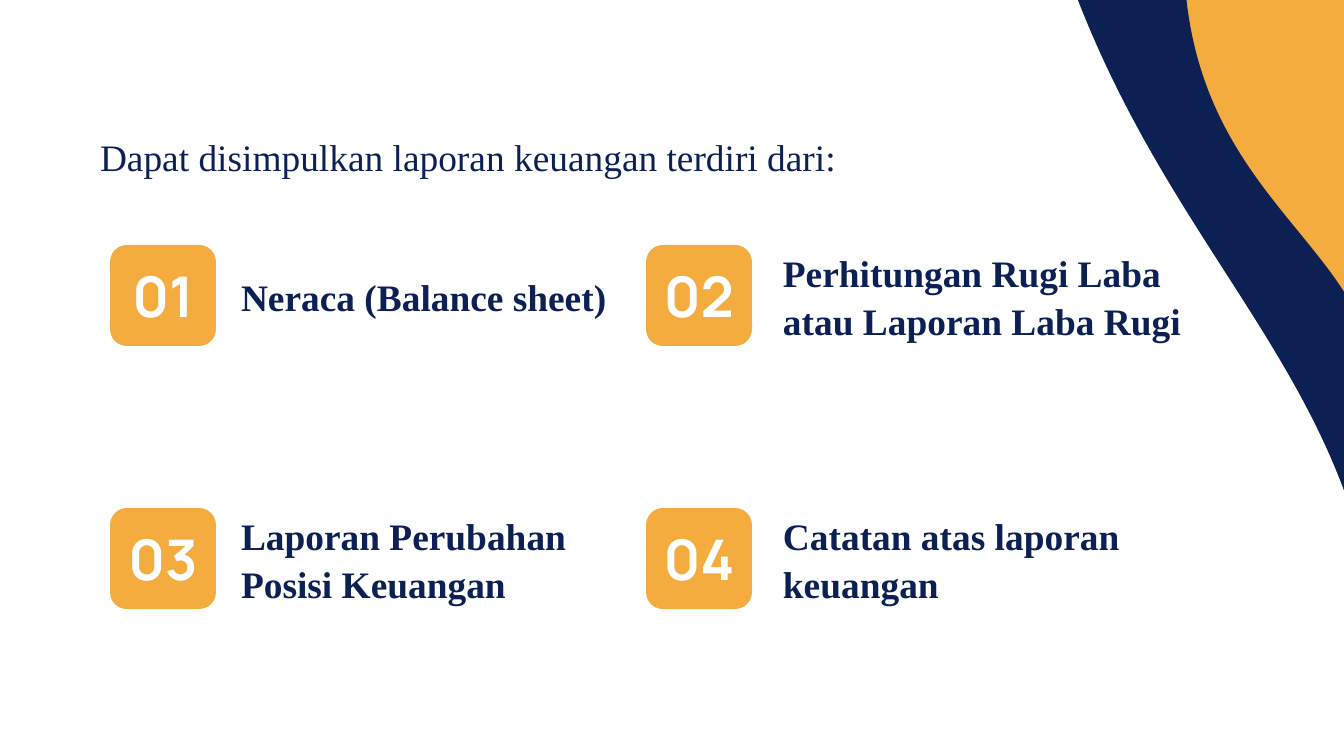
from dataclasses import dataclass

from pptx import Presentation
from pptx.dml.color import RGBColor
from pptx.enum.shapes import MSO_SHAPE
from pptx.enum.text import MSO_ANCHOR, MSO_AUTO_SIZE, PP_ALIGN
from pptx.util import Emu, Pt

# Content
LEAD = "Dapat disimpulkan laporan keuangan terdiri dari:"
REPORTS = [
    "Neraca (Balance sheet)",
    "Perhitungan Rugi Laba atau Laporan Laba Rugi",
    "Laporan Perubahan Posisi Keuangan",
    "Catatan atas laporan keuangan",
]


@dataclass(frozen=True)
class Theme:
    navy: RGBColor = RGBColor(0x0C, 0x20, 0x54)
    orange: RGBColor = RGBColor(0xF3, 0xAC, 0x3D)
    white: RGBColor = RGBColor(0xFF, 0xFF, 0xFF)
    text_font: str = "Times New Roman"
    number_font: str = "Manrope"
    text_size: int = 20
    number_size: int = 30


THEME = Theme()

# Layout in px
SLIDE_SIZE = (1344, 756)
LEAD_BOX = (87, 121, 1133, 71)
WAVES = [  # box, rotation, colour
    ((626, -184, 586, 931), 267, THEME.navy),
    ((-75, -368, 1361, 1535), 264.8, THEME.white),
]
TILE_SIZE = (106, 101)
GRID_LEFT, GRID_TOP = 110, 245
COLUMN_STEP, ROW_STEP = 536, 263
LABEL_HEIGHT = 78
LABEL_COLUMNS = [(228, 397), (770, 438)]  # left, width
INSET = 13


def px(value):
    return Emu(round(value * 914400 / 134.4))


def add_filled_shape(slide, preset, box, colour):
    shape = slide.shapes.add_shape(preset, *map(px, box))
    shape.shadow.inherit = False
    shape.fill.solid()
    shape.fill.fore_color.rgb = colour
    shape.line.fill.background()
    return shape


def write(shape, text, font_name, size, colour, bold=True,
          align=PP_ALIGN.LEFT, inset=INSET):
    frame = shape.text_frame
    frame.word_wrap = True
    frame.auto_size = MSO_AUTO_SIZE.NONE
    frame.vertical_anchor = MSO_ANCHOR.MIDDLE
    frame.margin_left = frame.margin_right = px(inset)
    frame.margin_top = frame.margin_bottom = px(inset)
    frame.text = text
    paragraph = frame.paragraphs[0]
    paragraph.alignment = align
    font = paragraph.font
    font.name, font.size, font.bold = font_name, Pt(size), bold
    font.color.rgb = colour
    return paragraph


def main():
    presentation = Presentation()
    presentation.slide_width, presentation.slide_height = map(px, SLIDE_SIZE)
    slide = presentation.slides.add_slide(presentation.slide_layouts[5])

    # Orange background under the navy and white waves
    slide.background.fill.solid()
    slide.background.fill.fore_color.rgb = THEME.orange
    for box, rotation, colour in WAVES:
        wave = add_filled_shape(slide, MSO_SHAPE.FLOWCHART_DOCUMENT, box, colour)
        wave.rotation = rotation

    # Lead sentence, brought in front of the waves
    title = slide.shapes.title
    slide.shapes._spTree.append(title._element)
    title.left, title.top, title.width, title.height = map(px, LEAD_BOX)
    write(title, LEAD, THEME.text_font, THEME.text_size, THEME.navy, bold=False)

    # Numbered reports in a two by two grid
    tile_width, tile_height = TILE_SIZE
    for index, report in enumerate(REPORTS):
        row, column = divmod(index, 2)
        left = GRID_LEFT + column * COLUMN_STEP
        top = GRID_TOP + row * ROW_STEP
        tile = add_filled_shape(slide, MSO_SHAPE.ROUNDED_RECTANGLE,
                                (left, top, tile_width, tile_height), THEME.orange)
        write(tile, f"{index + 1:02}", THEME.number_font, THEME.number_size,
              THEME.white, align=PP_ALIGN.CENTER, inset=0)

        label_left, label_width = LABEL_COLUMNS[column]
        label_top = top + (tile_height - LABEL_HEIGHT) / 2
        label = slide.shapes.add_textbox(
            *map(px, (label_left, label_top, label_width, LABEL_HEIGHT)))
        paragraph = write(label, report, THEME.text_font, THEME.text_size, THEME.navy)
        paragraph.line_spacing = 1.05

    presentation.save("out.pptx")


if __name__ == "__main__":
    main()
